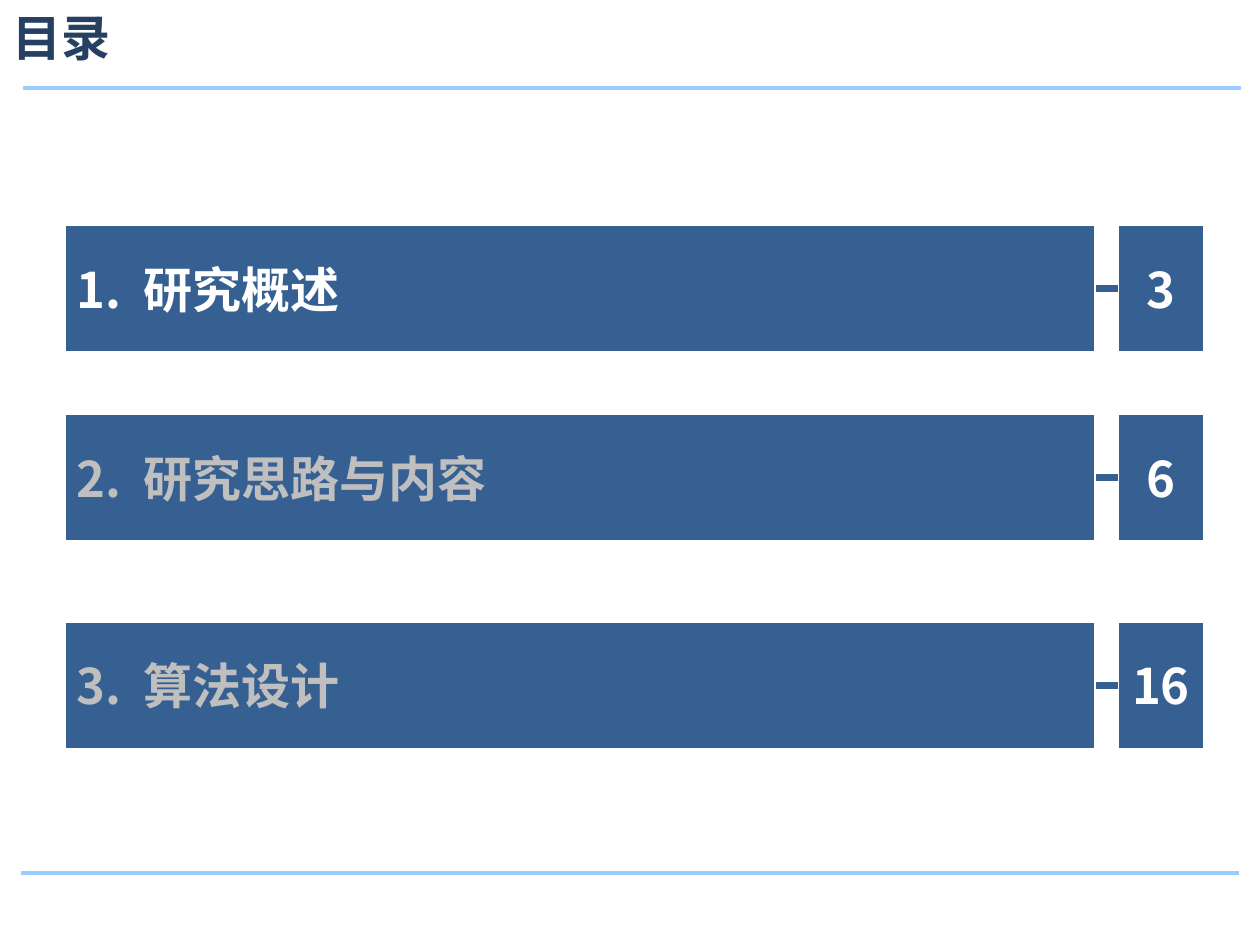
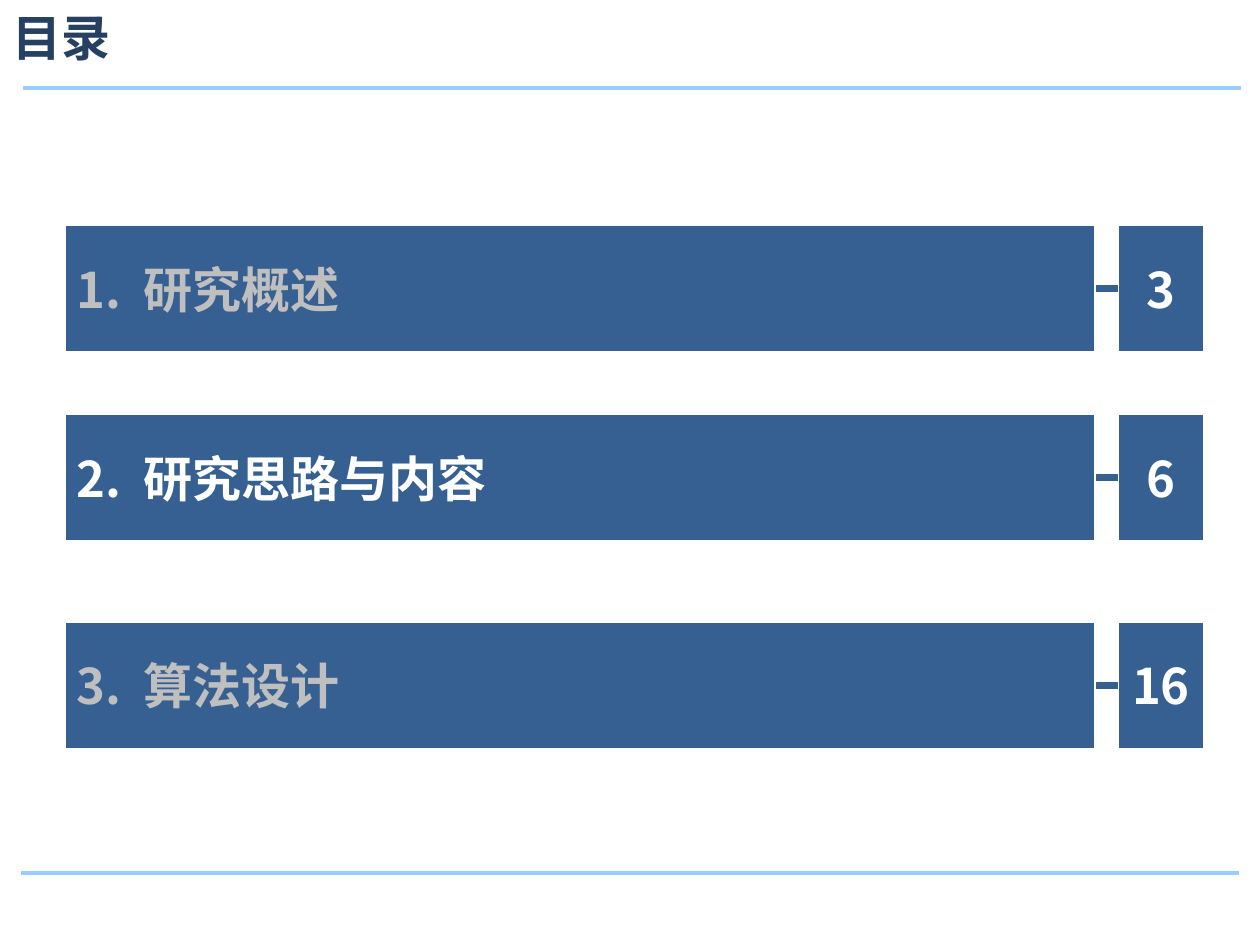
from dataclasses import dataclass

from lxml import etree
from pptx import Presentation
from pptx import util as u
from pptx.dml.color import RGBColor
from pptx.enum import shapes, text
from pptx.oxml.ns import qn

COLORS = {
    "rule": "99CCFF",
    "title": "254061",
    "bar": "376092",
    "muted": "BFBFBF",
    "white": "FFFFFF",
}
FONT = {"name": "Noto Sans CJK SC", "size": u.Pt(28), "bold": True}
TITLE_FRAME = {
    "vertical_anchor": text.MSO_ANCHOR.MIDDLE,
    "auto_size": text.MSO_AUTO_SIZE.NONE,
    "word_wrap": True,
}
TITLE_BOX = {"left": u.Cm(0), "top": u.Cm(0), "width": u.Cm(24.89), "height": u.Cm(1.63)}
BAR_LEFT, BAR_WIDTH, BAR_HEIGHT = u.Cm(1.3), u.Cm(20.8), u.Cm(2.59)
PAGE_LEFT, PAGE_WIDTH = u.Cm(22.53), u.Cm(1.75)


@dataclass(frozen=True)
class Rule:
    left: float
    right: float
    y: float


@dataclass(frozen=True)
class Chapter:
    number: int
    name: str
    page: int
    top: float


RULES = [Rule(0.46, 25.02, 1.78), Rule(0.43, 24.97, 17.6)]
CHAPTERS = [
    Chapter(1, "研究概述", 3, 4.52),
    Chapter(2, "研究思路与内容", 6, 8.33),
    Chapter(3, "算法设计", 16, 12.52),
]


def rgb(color: str) -> RGBColor:
    return RGBColor.from_string(COLORS[color])


def set_attrs(obj, values: dict) -> None:
    for key, value in values.items():
        setattr(obj, key, value)


def add_run(p, words: str, color: str):
    r = p.add_run()
    r.text = words
    set_attrs(r.font, FONT)
    r.font.color.rgb = rgb(color)
    ea = etree.SubElement(r._r.get_or_add_rPr(), qn("a:ea"))
    ea.set("typeface", FONT["name"])
    return r


def add_line(container, x1: int, y1: int, x2: int, y2: int, color: str, width: float):
    line = container.add_connector(shapes.MSO_CONNECTOR.STRAIGHT, x1, y1, x2, y2)
    line.line.color.rgb = rgb(color)
    line.line.width = u.Pt(width)
    etree.SubElement(line._element.spPr, qn("a:effectLst"))
    return line


def add_block(container, left: int, top: int, width: int, align):
    sp = container.add_shape(shapes.MSO_SHAPE.RECTANGLE, left, top, width, BAR_HEIGHT)
    sp.shadow.inherit = False
    sp.fill.solid()
    sp.fill.fore_color.rgb = rgb("bar")
    sp.line.color.rgb = rgb("white")
    sp.line.width = u.Pt(2)
    sp.text_frame.vertical_anchor = text.MSO_ANCHOR.MIDDLE
    sp.text_frame.paragraphs[0].alignment = align
    return sp


def add_chapter(slide, chapter: Chapter, active: bool) -> None:
    group = slide.shapes.add_group_shape().shapes
    top = u.Cm(chapter.top)
    color = "white" if active else "muted"

    bar = add_block(group, BAR_LEFT, top, BAR_WIDTH, text.PP_ALIGN.LEFT)
    p = bar.text_frame.paragraphs[0]
    add_run(p, f"{chapter.number}.", color)
    gap = add_run(p, " ", color)
    gap._r.get_or_add_rPr().set("spc", "630")
    add_run(p, chapter.name, color)

    page = add_block(group, PAGE_LEFT, top, PAGE_WIDTH, text.PP_ALIGN.CENTER)
    add_run(page.text_frame.paragraphs[0], str(chapter.page), "white")

    middle = top + BAR_HEIGHT // 2
    link = add_line(group, BAR_LEFT + BAR_WIDTH, middle, PAGE_LEFT, middle, "bar", 4)
    link.begin_connect(bar, 3)
    link.end_connect(page, 1)


def add_contents_slide(prs, active: Chapter) -> None:
    slide = prs.slides.add_slide(prs.slide_layouts[5])
    for rule in RULES:
        y = u.Cm(rule.y)
        add_line(slide.shapes, u.Cm(rule.left), y, u.Cm(rule.right), y, "rule", 2.25)

    title = slide.shapes.title
    set_attrs(title, TITLE_BOX)
    set_attrs(title.text_frame, TITLE_FRAME)
    p = title.text_frame.paragraphs[0]
    set_attrs(p, {"alignment": text.PP_ALIGN.LEFT, "line_spacing": 0.9})
    add_run(p, "目录", "title")

    for chapter in reversed(CHAPTERS):
        add_chapter(slide, chapter, chapter == active)


def main() -> None:
    prs = Presentation()
    prs.slide_width, prs.slide_height = u.Cm(25.4), u.Cm(19.05)
    for active in CHAPTERS[:2]:
        add_contents_slide(prs, active)
    prs.save("out.pptx")


if __name__ == "__main__":
    main()
